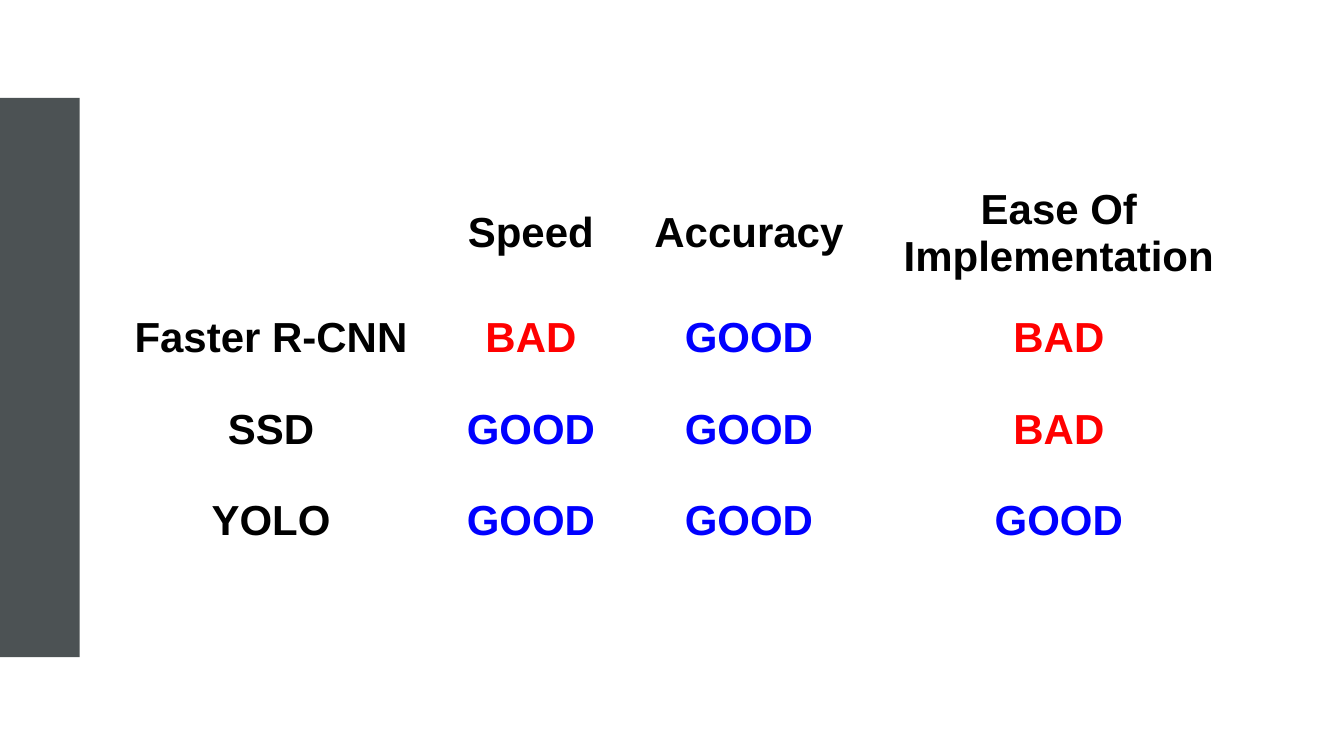
import pptx
import pptx.dml.color
import pptx.enum.shapes
import pptx.enum.text
import pptx.slide
import pptx.table
import pptx.util
from dataclasses import dataclass

Cm = pptx.util.Cm
BLACK = "000000"
RATING_COLORS = {"GOOD": "0000FF", "BAD": "FF0000"}
COLUMN_WIDTHS = [8.38, 4.72, 6.27, 9.35]
HEADER_HEIGHT = 1.91
ROW_HEIGHT = 2.31
CELL_MARGIN = 0.43


@dataclass
class Detector:
    name: str
    speed: str
    accuracy: str
    ease: str


HEADER = Detector("", "Speed", "Accuracy", "Ease Of Implementation")
DETECTORS = [
    Detector("Faster R-CNN", "BAD", "GOOD", "BAD"),
    Detector("SSD", "GOOD", "GOOD", "BAD"),
    Detector("YOLO", "GOOD", "GOOD", "GOOD"),
]


def color(value: str) -> pptx.dml.color.RGBColor:
    return pptx.dml.color.RGBColor.from_string(value)


def fill_cell(cell: pptx.table._Cell, text: str) -> None:
    cell.fill.background()
    cell.margin_left = cell.margin_right = Cm(CELL_MARGIN)
    cell.margin_top = cell.margin_bottom = Cm(CELL_MARGIN)
    cell.text_frame.text = text
    paragraph = cell.text_frame.paragraphs[0]
    paragraph.alignment = pptx.enum.text.PP_ALIGN.CENTER
    for run in paragraph.runs:
        run.font.name = "Arial"
        run.font.size = pptx.util.Pt(30)
        run.font.bold = True
        run.font.color.rgb = color(RATING_COLORS.get(text, BLACK))


def draw_side_bar(slide: pptx.slide.Slide) -> None:
    bar = slide.shapes.add_shape(
        pptx.enum.shapes.MSO_SHAPE.RECTANGLE, Cm(0), Cm(2.47), Cm(2.01), Cm(14.09))
    bar.shadow.inherit = False
    bar.fill.solid()
    bar.fill.fore_color.rgb = color("4C5254")
    bar.line.fill.background()


def draw_comparison(slide: pptx.slide.Slide) -> None:
    rows = [HEADER, *DETECTORS]
    heights = [HEADER_HEIGHT] + [ROW_HEIGHT] * len(DETECTORS)
    table = slide.shapes.add_table(
        len(rows), len(COLUMN_WIDTHS), Cm(2.64), Cm(4.27),
        Cm(sum(COLUMN_WIDTHS)), Cm(sum(heights))).table
    table.first_row = False
    table.horz_banding = False
    for column, width in zip(table.columns, COLUMN_WIDTHS):
        column.width = Cm(width)
    for table_row, height, detector in zip(table.rows, heights, rows):
        table_row.height = Cm(height)
        texts = [detector.name, detector.speed, detector.accuracy, detector.ease]
        for cell, text in zip(table_row.cells, texts):
            fill_cell(cell, text)

    # The one-line headings sit midway beside the two-line one
    for column_index in (1, 2):
        table.cell(0, column_index).vertical_anchor = pptx.enum.text.MSO_ANCHOR.MIDDLE


def main() -> None:
    presentation = pptx.Presentation()
    presentation.slide_width = Cm(33.87)
    presentation.slide_height = Cm(19.05)
    slide = presentation.slides.add_slide(presentation.slide_layouts[6])
    draw_side_bar(slide)
    draw_comparison(slide)
    presentation.save("out.pptx")


if __name__ == "__main__":
    main()
